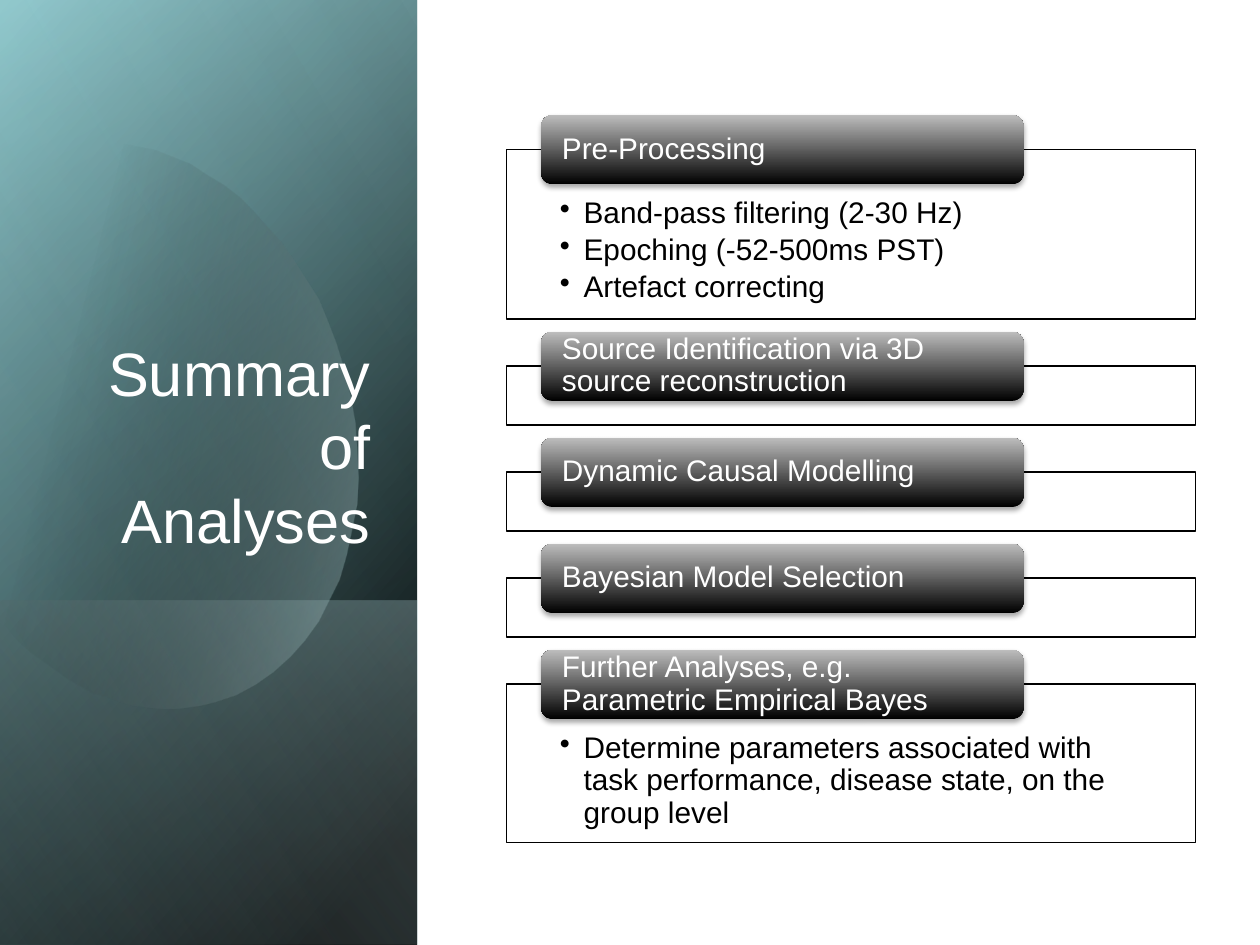
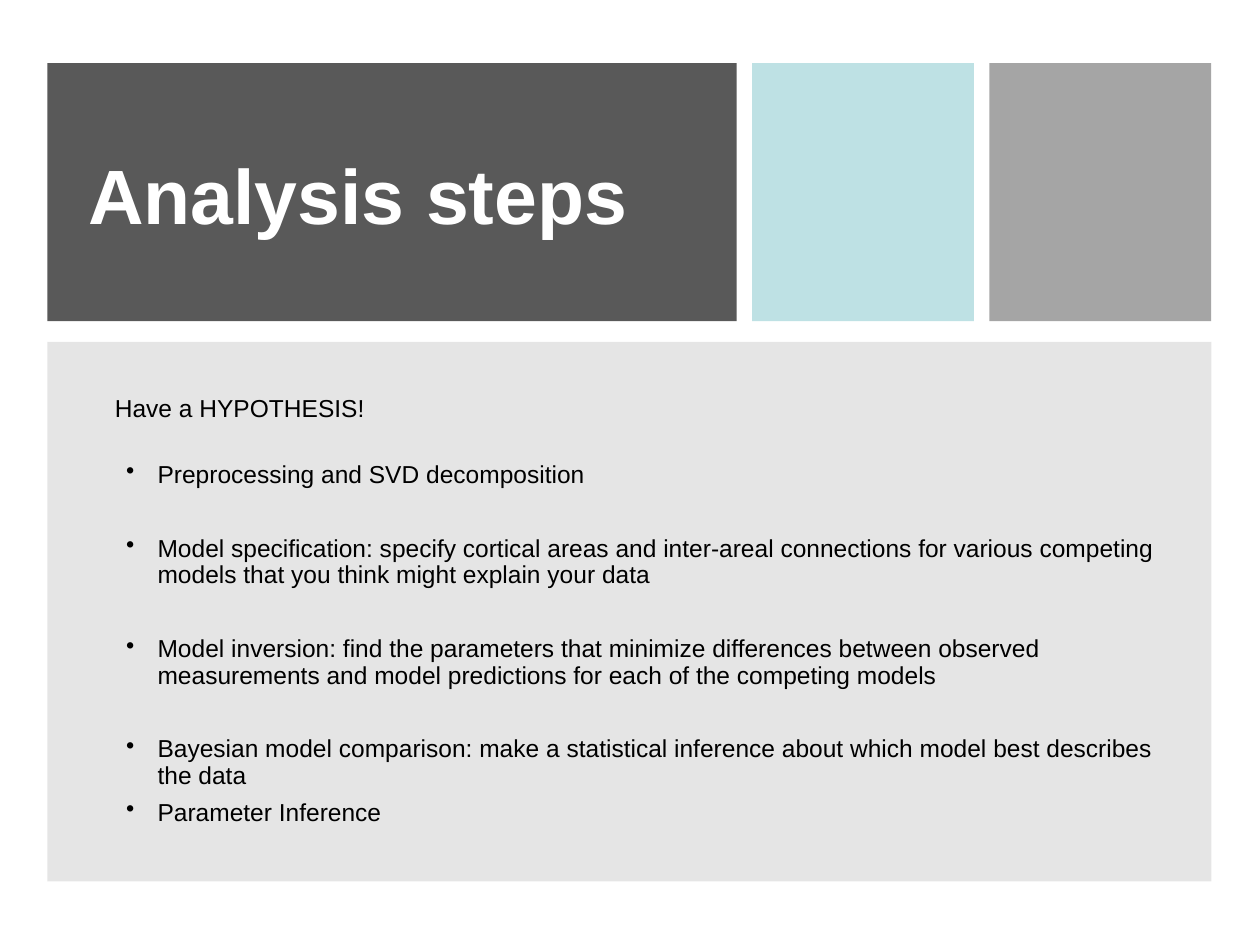
from pptx import Presentation
from pptx.dml.color import RGBColor
from pptx.enum.shapes import MSO_SHAPE
from pptx.enum.text import MSO_ANCHOR, MSO_AUTO_SIZE, PP_ALIGN
from pptx.oxml import parse_xml
from pptx.oxml.ns import nsdecls, qn
from pptx.util import Pt

COLORS = {
    "black": "000000", "white": "FFFFFF", "teal": "72BFC5", "aqua": "BBE0E3",
    "mist": "D6ECEE", "silver": "BDBDBD", "dark": "595959", "gray": "A5A5A5",
    "mid": "808080",
}
FONT = "Arial"
BAND_W, BAND_H = 238.3, 540

BAND_LAYERS = [
    (0, 540, [(8, "black", 100), (100, "teal", 100)], 50),
    (0, 540, [(0, "black", 0), (99, "aqua", 46)], 30),
    (343.2, 196.8, [(2, "aqua", 29), (100, "black", 30)], 130),
]
BAND_GLAZE = (0, 540, [(0, "black", 0), (99, "mist", 11)], 120)
OVAL_START = (69, 82)
OVAL_CURVES = [
    [(123, 88), (175.5, 138), (196.5, 209)],
    [(221, 296.5), (188.5, 382), (123, 401)],
    [(82, 413), (38, 396), (5, 360)],
    [(-2, 351.4)],
    [(-18, 119.5)],
    [(-10.8, 110.9)],
    [(1.4, 98.6), (15.8, 90), (32.4, 85)],
    [(44.6, 81.4), (57, 80.6), (69, 82)],
]
ANALYSES = [
    ("Pre-Processing", 97, ["Band-pass filtering (2-30 Hz)",
                            "Epoching (-52-500ms PST)",
                            "Artefact correcting"]),
    ("Source Identification via 3D source reconstruction", 33.8, []),
    ("Dynamic Causal Modelling", 33.8, []),
    ("Bayesian Model Selection", 33.8, []),
    ("Further Analyses, e.g. Parametric Empirical Bayes", 90.6,
     ["Determine parameters associated with task performance, disease state, "
      "on the group level"]),
]
STEPS = [
    ("Preprocessing and SVD decomposition", 27),
    ("Model specification: specify cortical areas and inter-areal connections for "
     "various competing models that you think might explain your data", 27),
    ("Model inversion: find the parameters that minimize differences between observed "
     "measurements and model predictions for each of the competing models", 27),
    ("Bayesian model comparison: make a statistical inference about which model best "
     "describes the data", 6),
    ("Parameter Inference", 6),
]


def set_all(obj, values):
    for name, value in values.items():
        setattr(obj, name, value)


def color_xml(color, alpha):
    return (f'<a:srgbClr val="{COLORS[color]}">'
            f'<a:alpha val="{alpha * 1000}"/></a:srgbClr>')


def put_fill(sp, xml):
    sp.fill.background()
    spPr = sp._element.spPr
    spPr.replace(spPr.find(qn("a:noFill")), parse_xml(xml))


def fill_solid(sp, color, alpha=100):
    put_fill(sp, f'<a:solidFill {nsdecls("a")}>{color_xml(color, alpha)}</a:solidFill>')


def fill_gradient(sp, stops, angle):
    gs = "".join(f'<a:gs pos="{pos * 1000}">{color_xml(color, alpha)}</a:gs>'
                 for pos, color, alpha in stops)
    put_fill(sp, f'<a:gradFill {nsdecls("a")} rotWithShape="1"><a:gsLst>{gs}</a:gsLst>'
                 f'<a:lin ang="{angle * 60000}" scaled="0"/></a:gradFill>')


def add_box(s, x, y, w, h, kind=MSO_SHAPE.RECTANGLE):
    sp = s.shapes.add_shape(kind, Pt(x), Pt(y), Pt(w), Pt(h))
    sp.shadow.inherit = False
    sp.line.fill.background()
    return sp


def set_frame(sp, anchor, insets):
    tf = sp.text_frame
    sides = ("margin_left", "margin_top", "margin_right", "margin_bottom")
    set_all(tf, {"word_wrap": True, "auto_size": MSO_AUTO_SIZE.NONE,
                 "vertical_anchor": anchor})
    set_all(tf, {side: Pt(v) for side, v in zip(sides, insets)})
    return tf


def add_text(tf, text, size, color, after=0, left=0, hang=0, spacing=0.9,
             align=PP_ALIGN.LEFT, bold=False):
    p = tf.paragraphs[0] if not tf.text else tf.add_paragraph()
    pPr = p._p.get_or_add_pPr()
    pPr.set("marL", str(Pt(left)))
    pPr.set("indent", str(Pt(-hang)))
    if hang:
        pPr.append(parse_xml(f'<a:buChar {nsdecls("a")} char="•"/>'))
    set_all(p, {"alignment": align, "line_spacing": spacing,
                "space_before": Pt(0), "space_after": Pt(after)})
    r = p.add_run()
    r.text = text
    set_all(r.font, {"name": FONT, "size": Pt(size), "bold": bold})
    r.font.color.rgb = RGBColor.from_string(COLORS[color])


def place_title(s, text, x, y, w, h, anchor, **style):
    title = s.shapes.title
    set_all(title, {"left": Pt(x), "top": Pt(y), "width": Pt(w), "height": Pt(h)})
    add_text(set_frame(title, anchor, (7.2, 3.6, 7.2, 3.6)), text,
             color="white", **style)
    s.shapes._spTree.append(title._element)


def add_band_layer(s, top, height, stops, angle):
    x, y = (BAND_W - height) / 2, top + (height - BAND_W) / 2
    sp = add_box(s, x, y, height, BAND_W)
    sp.rotation = 90
    sp._element.spPr.find(qn("a:xfrm")).set("flipH", "1")
    fill_gradient(sp, stops, angle)


def curve_points(start, controls, steps=16):
    if len(controls) == 1:
        return controls
    a, (b, c, d) = start, controls
    ts = [i / steps for i in range(1, steps + 1)]
    return [tuple((1 - t) ** 3 * a[k] + 3 * (1 - t) ** 2 * t * b[k]
                  + 3 * (1 - t) * t ** 2 * c[k] + t ** 3 * d[k] for k in (0, 1))
            for t in ts]


def add_oval(s):
    pen, points = OVAL_START, []
    for controls in OVAL_CURVES:
        points += curve_points(pen, controls)
        pen = controls[-1]
    builder = s.shapes.build_freeform(*OVAL_START, scale=Pt(1))
    builder.add_line_segments(points, close=True)
    sp = builder.convert_to_shape()
    sp.shadow.inherit = False
    sp.line.fill.background()
    fill_gradient(sp, [(29, "black", 0), (100, "aqua", 43)], 14)


def add_analysis(s, top, heading, height, bullets):
    head_h, drop = 39.6, 19.6
    sp = add_box(s, 289.5, top + drop, 393.8, height)
    fill_solid(sp, "white", 90)
    sp.line.color.rgb = RGBColor.from_string(COLORS["black"])
    sp.line.width = Pt(0.75)
    if bullets:
        tf = set_frame(sp, MSO_ANCHOR.TOP, (30.5, 28, 30.5, 9.4))
        for text in bullets:
            add_text(tf, text, 17, "black", after=2.6, left=13.5, hang=13.5)

    head = add_box(s, 309.2, top, 275.7, head_h, MSO_SHAPE.ROUNDED_RECTANGLE)
    fill_gradient(head, [(0, "black", 100), (100, "silver", 100)], 270)
    head._element.spPr.find(qn("a:effectLst")).append(parse_xml(
        f'<a:outerShdw {nsdecls("a")} blurRad="{Pt(3.1)}" dist="{Pt(1.8)}" '
        f'dir="5400000" rotWithShape="0">{color_xml("black", 35)}</a:outerShdw>'))
    add_text(set_frame(head, MSO_ANCHOR.MIDDLE, (10, 0, 10, 0)), heading, 17, "white")
    return top + drop + height + 7.2


def build_summary(s):
    for layer in BAND_LAYERS:
        add_band_layer(s, *layer)
    add_oval(s)
    add_band_layer(s, *BAND_GLAZE)
    place_title(s, "Summary of Analyses", 34.6, 132.5, 184.3, 188.6,
                MSO_ANCHOR.BOTTOM, size=35, spacing=1.0, align=PP_ALIGN.RIGHT)
    top = 65.7
    for analysis in ANALYSES:
        top = add_analysis(s, top, *analysis)


def build_steps(s):
    for x, w, color, alpha in [(27, 394, "dark", 100), (429.8, 126.8, "aqua", 95),
                               (565.3, 126.8, "gray", 100)]:
        fill_solid(add_box(s, x, 36, w, 147.5), color, alpha)
    panel = add_box(s, 27, 195.4, 665.2, 308.2)
    fill_solid(panel, "mid", 20)
    tf = set_frame(panel, MSO_ANCHOR.MIDDLE, (27, 28.8, 27, 28.8))
    add_text(tf, "Have a HYPOTHESIS!", 14, "black", after=22.5, left=11.6)
    for text, after in STEPS:
        add_text(tf, text, 14, "black", after=after, left=36, hang=18)
    place_title(s, "Analysis steps", 43.2, 57.6, 360, 112.3, MSO_ANCHOR.MIDDLE,
                size=44, after=6, bold=True)


def main():
    prs = Presentation()
    set_all(prs, {"slide_width": Pt(720), "slide_height": Pt(BAND_H)})
    for build in (build_summary, build_steps):
        build(prs.slides.add_slide(prs.slide_layouts[5]))
    prs.save("out.pptx")


if __name__ == "__main__":
    main()
